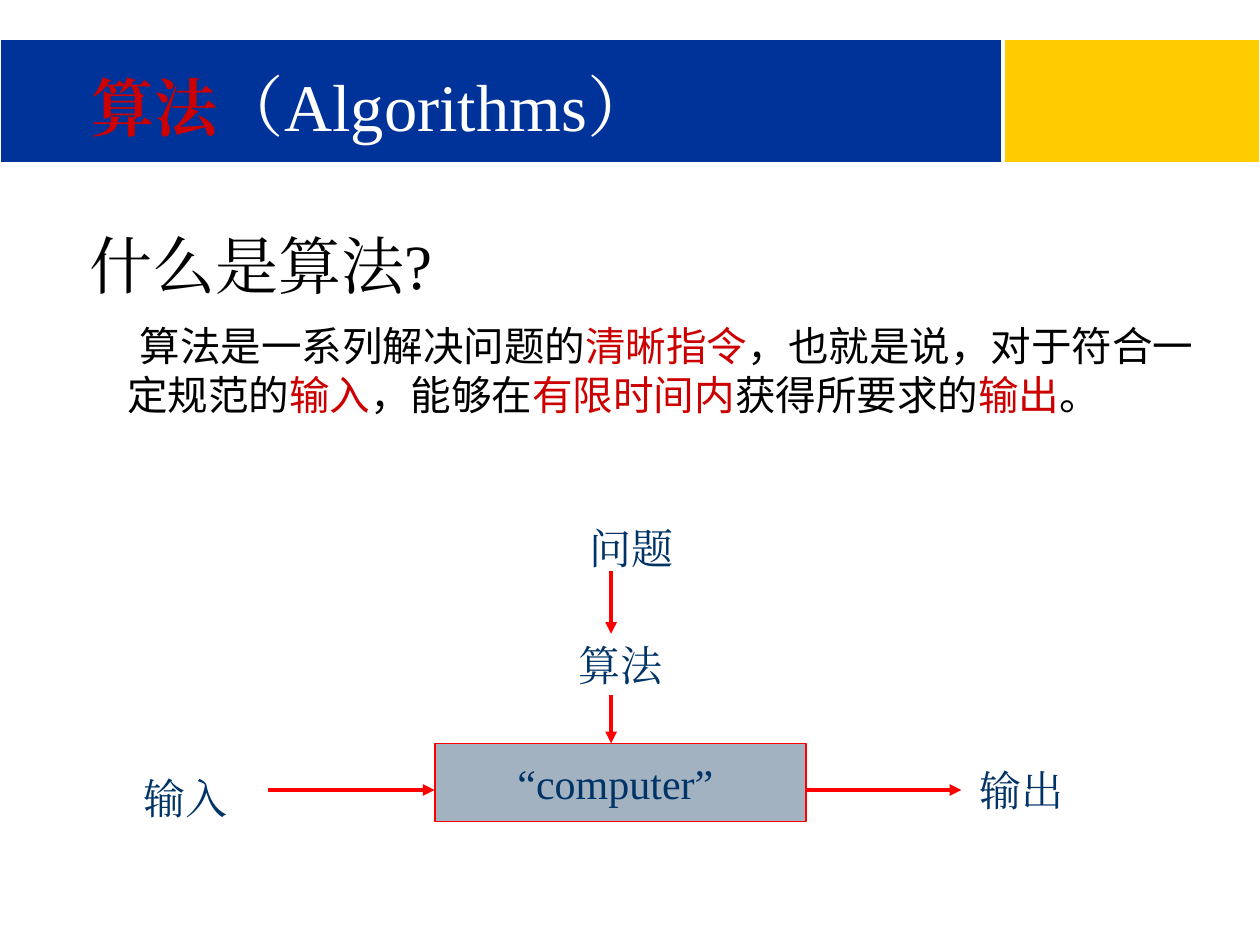
from dataclasses import dataclass
from typing import Optional

from lxml.etree import SubElement
from pptx import Presentation
from pptx.dml.color import RGBColor
from pptx.enum.shapes import MSO_CONNECTOR, MSO_SHAPE
from pptx.enum.text import MSO_ANCHOR, PP_ALIGN
from pptx.oxml.ns import qn
from pptx.util import Inches, Pt

WHITE = RGBColor(0xFF, 0xFF, 0xFF)
BLACK = RGBColor(0x00, 0x00, 0x00)
BLUE = RGBColor(0x00, 0x33, 0x99)
GOLD = RGBColor(0xFE, 0xCC, 0x00)
CRIMSON = RGBColor(0xCC, 0x00, 0x00)
RED = RGBColor(0xFF, 0x00, 0x00)
NAVY = RGBColor(0x00, 0x33, 0x66)
GRAY_BLUE = RGBColor(0xA3, 0xB2, 0xC1)
SERIF, SANS = "Times New Roman", "DejaVu Sans"

# Slide size, and the lines of the diagram's grid in inches
WIDTH, HEIGHT = 10, 7.5
BAND_TOP, BAND_HEIGHT = 0.31, 0.98
STEM_X, FLOW_Y = 4.85, 6.27
BOX_LEFT, BOX_TOP, BOX_WIDTH, BOX_HEIGHT = 3.45, 5.9, 2.95, 0.62
BOX_RIGHT = BOX_LEFT + BOX_WIDTH
LABEL_HEIGHT = 0.5


@dataclass
class Run:
    text: str
    color: RGBColor
    size: float = 24
    font: str = SERIF
    bold: bool = False


@dataclass
class Area:
    left: float
    top: float
    width: float
    height: float

    def lengths(self) -> list:
        return [Inches(n) for n in (self.left, self.top, self.width, self.height)]


def write_runs(paragraph, runs: list[Run]) -> None:
    for item in runs:
        run = paragraph.add_run()
        run.text = item.text
        values = {"size": Pt(item.size), "bold": item.bold, "name": item.font}
        for name, value in values.items():
            setattr(run.font, name, value)
        run.font.color.rgb = item.color
        # East Asian characters follow the same font
        SubElement(run.font._element, qn("a:ea")).set("typeface", item.font)


def add_text(slide, area: Area, runs: list[Run], align=PP_ALIGN.LEFT,
             anchor=MSO_ANCHOR.TOP, wrap: bool = True,
             indents: Optional[tuple[float, float]] = None) -> None:
    frame = slide.shapes.add_textbox(*area.lengths()).text_frame
    frame.word_wrap = wrap
    frame.vertical_anchor = anchor
    paragraph = frame.paragraphs[0]
    paragraph.alignment = align
    if indents:
        properties = paragraph._p.get_or_add_pPr()
        for name, value in zip(("marL", "indent"), indents):
            properties.set(name, str(Inches(value)))
    write_runs(paragraph, runs)


def add_box(slide, area: Area, fill: RGBColor, line: RGBColor, line_width: float):
    shape = slide.shapes.add_shape(MSO_SHAPE.RECTANGLE, *area.lengths())
    shape.shadow.inherit = False
    shape.fill.solid()
    shape.fill.fore_color.rgb = fill
    shape.line.color.rgb = line
    shape.line.width = Pt(line_width)
    return shape


def add_arrow(slide, start: tuple[float, float], end: tuple[float, float]) -> None:
    points = [Inches(n) for n in (*start, *end)]
    arrow = slide.shapes.add_connector(MSO_CONNECTOR.STRAIGHT, *points)
    arrow.line.color.rgb = RED
    arrow.line.width = Pt(2.25)
    SubElement(arrow.line._get_or_add_ln(), qn("a:tailEnd")).set("type", "triangle")
    SubElement(arrow._element.spPr, qn("a:effectLst"))


def main() -> None:
    presentation = Presentation()
    presentation.slide_width, presentation.slide_height = Inches(WIDTH), Inches(HEIGHT)
    slide = presentation.slides.add_slide(presentation.slide_layouts[6])

    # Header bands
    for left, width, fill in ((7.97, 2.03, GOLD), (0, 7.95, BLUE)):
        add_box(slide, Area(left, BAND_TOP, width, BAND_HEIGHT), fill, WHITE, 0.75)

    # Definition, with the key terms in crimson
    definition = [
        ("算法是一系列解决问题的", BLACK), ("清晰指令", CRIMSON),
        ("，也就是说，对于符合一定规范的", BLACK), ("输入", CRIMSON),
        ("，能够在", BLACK), ("有限时间内", CRIMSON),
        ("获得所要求的", BLACK), ("输出", CRIMSON), ("。", BLACK),
    ]
    add_text(slide, Area(-0.08, 2.5, 9.75, 1.17),
             [Run(text, color, 23.2, SANS) for text, color in definition],
             indents=(0.99, 0.1))

    # Computer box
    computer = add_box(slide, Area(BOX_LEFT, BOX_TOP, BOX_WIDTH, BOX_HEIGHT),
                       GRAY_BLUE, RED, 1)
    frame = computer.text_frame
    frame.word_wrap = False
    frame.margin_right = Inches(0.18)
    frame.vertical_anchor = MSO_ANCHOR.MIDDLE
    frame.paragraphs[0].alignment = PP_ALIGN.CENTER
    write_runs(frame.paragraphs[0], [Run("“computer”", NAVY)])

    # Diagram arrows: down the stem, then along the flow
    for top, bottom in ((4.53, 5.03), (5.52, BOX_TOP)):
        add_arrow(slide, (STEM_X, top), (STEM_X, bottom))
    for left, right in ((2.13, BOX_LEFT), (BOX_RIGHT, 7.63)):
        add_arrow(slide, (left, FLOW_Y), (right, FLOW_Y))

    # Diagram labels
    labels = (("问题", 4.19, 4.1, 1.64), ("算法", 4.13, 5.03, 1.59),
              ("输入", 0.83, 6.08, 1.29), ("输出", 7.46, 6.02, 1.29))
    for text, left, top, width in labels:
        add_text(slide, Area(left, top, width, LABEL_HEIGHT), [Run(text, NAVY)],
                 align=PP_ALIGN.CENTER)

    # Title and question
    add_text(slide, Area(0.63, -0.13, 8.75, 1.33),
             [Run("算法", CRIMSON, 36, bold=True), Run("（Algorithms）", WHITE, 38)],
             anchor=MSO_ANCHOR.BOTTOM)
    add_text(slide, Area(0.61, 1.75, 3.04, 0.7), [Run("什么是算法?", BLACK, 36)],
             wrap=False)

    presentation.save("out.pptx")


if __name__ == "__main__":
    main()
